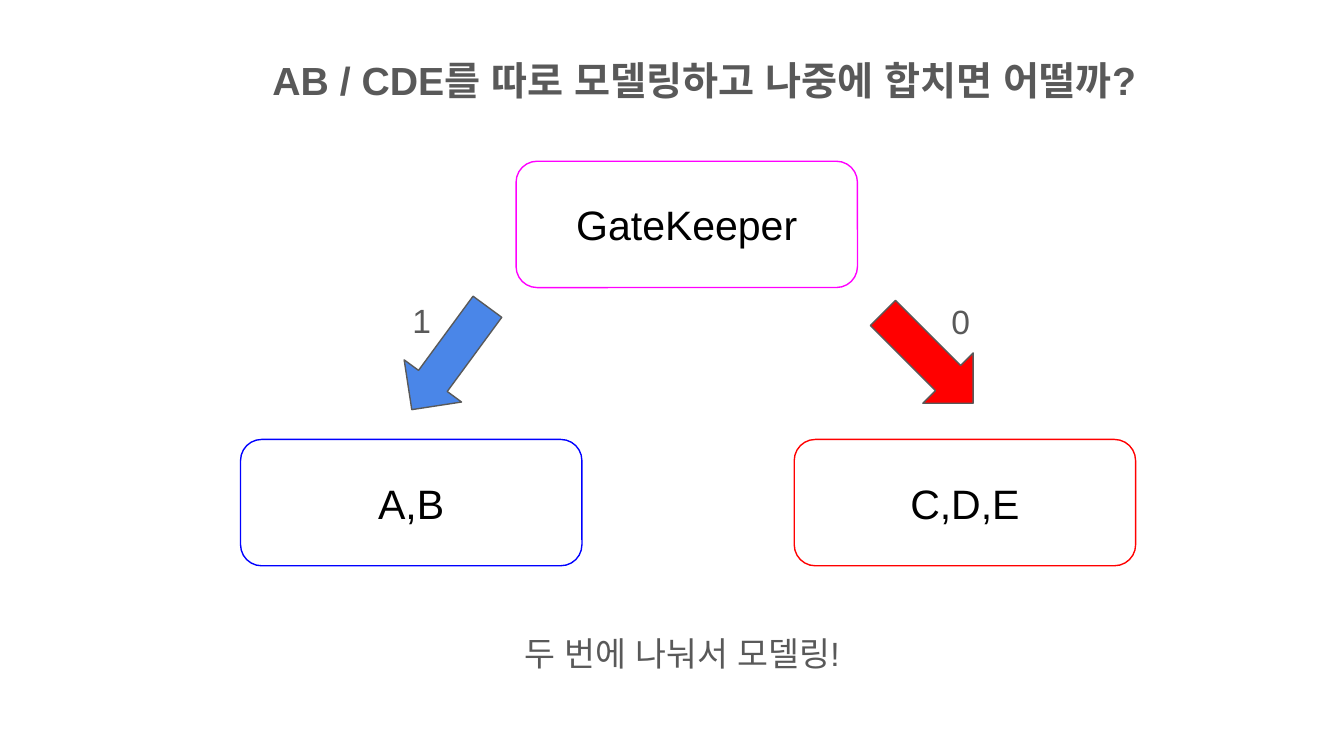
from lxml import etree
from pptx import Presentation
from pptx.dml.color import RGBColor
from pptx.enum import shapes, text
from pptx.oxml.ns import qn
from pptx.util import Inches, Pt

FONT = "Arial"
COLORS = {
    "white": "FFFFFF", "black": "000000", "gray": "595959",
    "magenta": "FF00FF", "red": "FF0000", "blue": "0000FF", "sky": "4A86E8",
}

# Content
BOX_SIZE = (2.54, 0.94)
BOXES = [  # label, left, top, outline
    ("GateKeeper", 3.84, 1.2, "magenta"),
    ("C,D,E", 5.91, 3.27, "red"),
    ("A,B", 1.79, 3.27, "blue"),
]
ARROW_SIZE = (0.95, 0.53)
ARROWS = [  # left, top, rotation, fill
    (6.43, 2.4, 45, "red"),
    (2.87, 2.4, 126.3, "sky"),
]
LEFT, CENTER = text.PP_ALIGN.LEFT, text.PP_ALIGN.CENTER
TEXTS = [  # wording, (left, top, width, height), size, bold, alignment
    ("1", (2.97, 2.13, 0.39, 0.4), 18, False, LEFT),
    ("0", (6.98, 2.14, 0.39, 0.4), 18, False, LEFT),
    ("AB / CDE를 따로 모델링하고 나중에 합치면 어떨까?",
     (0.81, 0.32, 8.86, 0.68), 21, True, CENTER),
    ("두 번에 나눠서 모델링!", (1.86, 4.61, 6.43, 0.68), 18, False, CENTER),
]


def color(name):
    return RGBColor.from_string(COLORS[name])


def add_shape(slide, kind, left, top, size, fill, line):
    shape = slide.shapes.add_shape(kind, *map(Inches, (left, top, *size)))
    shape.shadow.inherit = False
    shape.fill.solid()
    shape.fill.fore_color.rgb = color(fill)
    shape.line.color.rgb = color(line)
    shape.line.width = Pt(0.75)
    return shape


def write(shape, wording, size, font_color, alignment, anchor, bold=False):
    frame = shape.text_frame
    frame.word_wrap = True
    frame.vertical_anchor = anchor
    frame.margin_left = frame.margin_right = Inches(0.1)
    frame.margin_top = frame.margin_bottom = Inches(0.1)
    frame.text = wording
    paragraph = frame.paragraphs[0]
    paragraph.alignment = alignment
    run = paragraph.runs[0]
    font = run.font
    font.name, font.size, font.bold = FONT, Pt(size), bold
    font.color.rgb = color(font_color)
    # The same typeface for East Asian and complex scripts
    properties = run._r.get_or_add_rPr()
    for script in ("a:ea", "a:cs"):
        etree.SubElement(properties, qn(script), typeface=FONT)


def main():
    presentation = Presentation()
    presentation.slide_width = Inches(10)
    presentation.slide_height = Inches(10 * 9 / 16)
    slide = presentation.slides.add_slide(presentation.slide_layouts[6])

    # Model boxes
    for label, left, top, outline in BOXES:
        box = add_shape(slide, shapes.MSO_SHAPE.ROUNDED_RECTANGLE,
                        left, top, BOX_SIZE, "white", outline)
        write(box, label, 22, "black", CENTER, text.MSO_ANCHOR.MIDDLE)

    # Branch arrows
    for left, top, rotation, fill in ARROWS:
        arrow = add_shape(slide, shapes.MSO_SHAPE.RIGHT_ARROW,
                          left, top, ARROW_SIZE, fill, "gray")
        arrow.rotation = rotation

    # Branch labels, title and closing line
    for wording, place, size, bold, alignment in TEXTS:
        textbox = slide.shapes.add_textbox(*map(Inches, place))
        write(textbox, wording, size, "gray", alignment,
              text.MSO_ANCHOR.TOP, bold)

    presentation.save("out.pptx")


if __name__ == "__main__":
    main()
